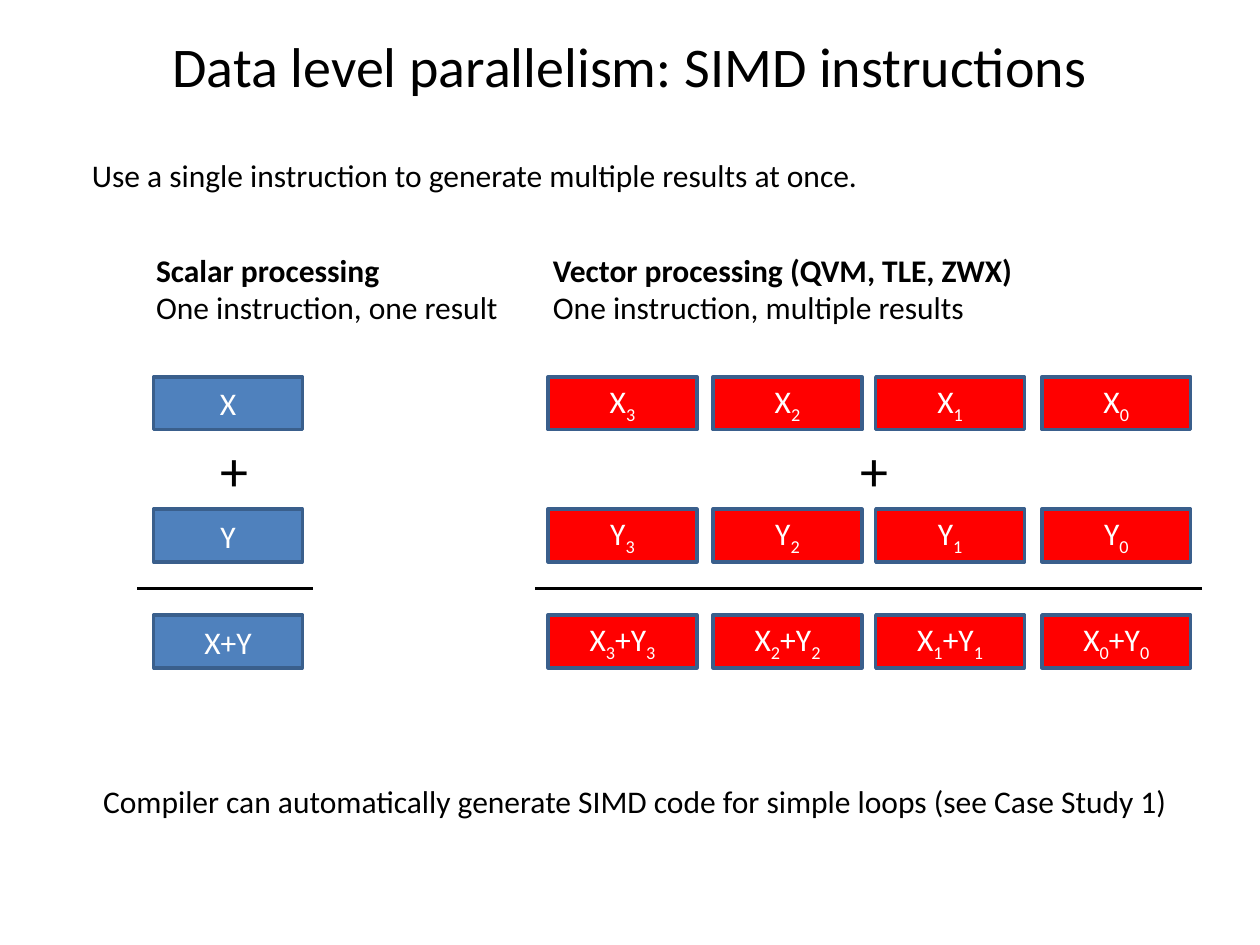
"""Build a slide comparing scalar and vector (SIMD) processing."""

from dataclasses import dataclass

from lxml.etree import SubElement
from pptx import Presentation
from pptx.dml.color import RGBColor
from pptx.enum.shapes import MSO_CONNECTOR, MSO_SHAPE
from pptx.enum.text import MSO_ANCHOR, MSO_AUTO_SIZE, PP_ALIGN
from pptx.oxml.ns import qn
from pptx.shapes.autoshape import Shape
from pptx.shapes.group import GroupShape
from pptx.shapes.shapetree import SlideShapes
from pptx.text.text import TextFrame
from pptx.util import Pt


@dataclass(frozen=True)
class Theme:
    font: str = "Calibri"
    title_size: float = 32
    body_size: float = 18
    black: RGBColor = RGBColor(0, 0, 0)
    white: RGBColor = RGBColor(255, 255, 255)
    scalar_fill: RGBColor = RGBColor(0x4F, 0x81, 0xBD)
    vector_fill: RGBColor = RGBColor(255, 0, 0)
    border: RGBColor = RGBColor(0x3A, 0x5F, 0x8C)
    border_width: float = 2
    rule_width: float = 1.5


@dataclass(frozen=True)
class Box:
    left: float
    top: float
    width: float
    height: float

    def lengths(self) -> tuple[Pt, Pt, Pt, Pt]:
        return Pt(self.left), Pt(self.top), Pt(self.width), Pt(self.height)


@dataclass(frozen=True)
class Panel:
    heading: str
    caption: str
    heading_left: float
    heading_width: float
    lane_lefts: tuple[float, ...]
    lane_suffixes: tuple[str, ...]
    fill: RGBColor
    plus_left: float
    rule_left: float
    rule_right: float


THEME = Theme()
REGISTER_WIDTH, REGISTER_HEIGHT = 85, 30.2
ROWS = {"X{0}": 215.3, "Y{0}": 290.9, "X{0}+Y{0}": 351.4}
HEADING_TOP, PLUS_TOP, RULE_TOP = 139.7, 245.5, 336.2
PANELS = (
    Panel("Scalar processing", "One instruction, one result", 82.1, 212.4,
          (87.8,), ("",), THEME.scalar_fill, 118.8, 78.5, 178.6),
    Panel("Vector processing (QVM, TLE, ZWX)", "One instruction, multiple results",
          308.9, 278.6, (313.2, 407.5, 500.4, 595.4), ("_3", "_2", "_1", "_0"),
          THEME.vector_fill, 484.6, 306, 686.9),
)


def write_text(frame: TextFrame, text: str, *, size: float = THEME.body_size,
               color: RGBColor = THEME.black, bold_first: bool = False,
               align: PP_ALIGN = PP_ALIGN.LEFT) -> None:
    """Write lines of text, where an underscore lowers the next character."""
    for index, line in enumerate(text.split("\n")):
        paragraph = frame.add_paragraph() if index else frame.paragraphs[0]
        paragraph.alignment = align
        first, *rest = line.split("_")
        pieces = [(first, False)]
        for part in rest:
            pieces += [(part[0], True), (part[1:], False)]
        for content, lowered in pieces:
            if not content:
                continue
            run = paragraph.add_run()
            run.text = content
            run.font.name = THEME.font
            run.font.size = Pt(size)
            run.font.color.rgb = color
            run.font.bold = bold_first and index == 0
            if lowered:
                run.font._element.set("baseline", "-25000")


def add_label(shapes: SlideShapes, text: str, box: Box, **text_format) -> Shape:
    """Add an unwrapped text box."""
    label = shapes.add_textbox(*box.lengths())
    label.text_frame.word_wrap = False
    label.text_frame.auto_size = MSO_AUTO_SIZE.SHAPE_TO_FIT_TEXT
    write_text(label.text_frame, text, **text_format)
    return label


def add_register(group: GroupShape, text: str, box: Box, fill: RGBColor) -> None:
    """Add a bordered rectangle holding one operand or result."""
    register = group.shapes.add_shape(MSO_SHAPE.RECTANGLE, *box.lengths())
    register.shadow.inherit = False
    register.fill.solid()
    register.fill.fore_color.rgb = fill
    register.line.color.rgb = THEME.border
    register.line.width = Pt(THEME.border_width)
    register.text_frame.vertical_anchor = MSO_ANCHOR.MIDDLE
    write_text(register.text_frame, text, color=THEME.white, align=PP_ALIGN.CENTER)


def add_rule(group: GroupShape, left: float, right: float, top: float) -> None:
    """Add the horizontal line above the results."""
    rule = group.shapes.add_connector(
        MSO_CONNECTOR.STRAIGHT, Pt(right), Pt(top), Pt(left), Pt(top))
    rule.line.color.rgb = THEME.black
    rule.line.width = Pt(THEME.rule_width)
    SubElement(rule._element.spPr, qn("a:effectLst"))


def add_panel(shapes: SlideShapes, panel: Panel) -> None:
    """Draw one processing model as a group."""
    group = shapes.add_group_shape()
    add_label(group.shapes, f"{panel.heading}\n{panel.caption}",
              Box(panel.heading_left, HEADING_TOP, panel.heading_width, 51.1),
              bold_first=True)
    for left, suffix in zip(panel.lane_lefts, panel.lane_suffixes):
        for pattern, top in ROWS.items():
            add_register(group, pattern.format(suffix),
                         Box(left, top, REGISTER_WIDTH, REGISTER_HEIGHT), panel.fill)
    add_rule(group, panel.rule_left, panel.rule_right, RULE_TOP)
    add_label(group.shapes, "+", Box(panel.plus_left, PLUS_TOP, 31, 46.1),
              size=THEME.title_size)


def main() -> None:
    """Create and save the presentation."""
    presentation = Presentation()
    presentation.slide_width, presentation.slide_height = Pt(720), Pt(540)
    slide = presentation.slides.add_slide(presentation.slide_layouts[6])
    title = slide.shapes.add_textbox(*Box(36, 12.2, 648, 50.4).lengths())
    title.text_frame.word_wrap = True
    title.text_frame.vertical_anchor = MSO_ANCHOR.MIDDLE
    write_text(title.text_frame, "Data level parallelism: SIMD instructions",
               size=THEME.title_size, align=PP_ALIGN.CENTER)
    for panel in PANELS:
        add_panel(slide.shapes, panel)
    add_label(slide.shapes,
              "Use a single instruction to generate multiple results at once.",
              Box(45.4, 85.7, 457.2, 29))
    add_label(slide.shapes,
              "Compiler can automatically generate SIMD code for simple loops "
              "(see Case Study 1)",
              Box(51.8, 443.5, 630, 29))
    presentation.save("out.pptx")


if __name__ == "__main__":
    main()
